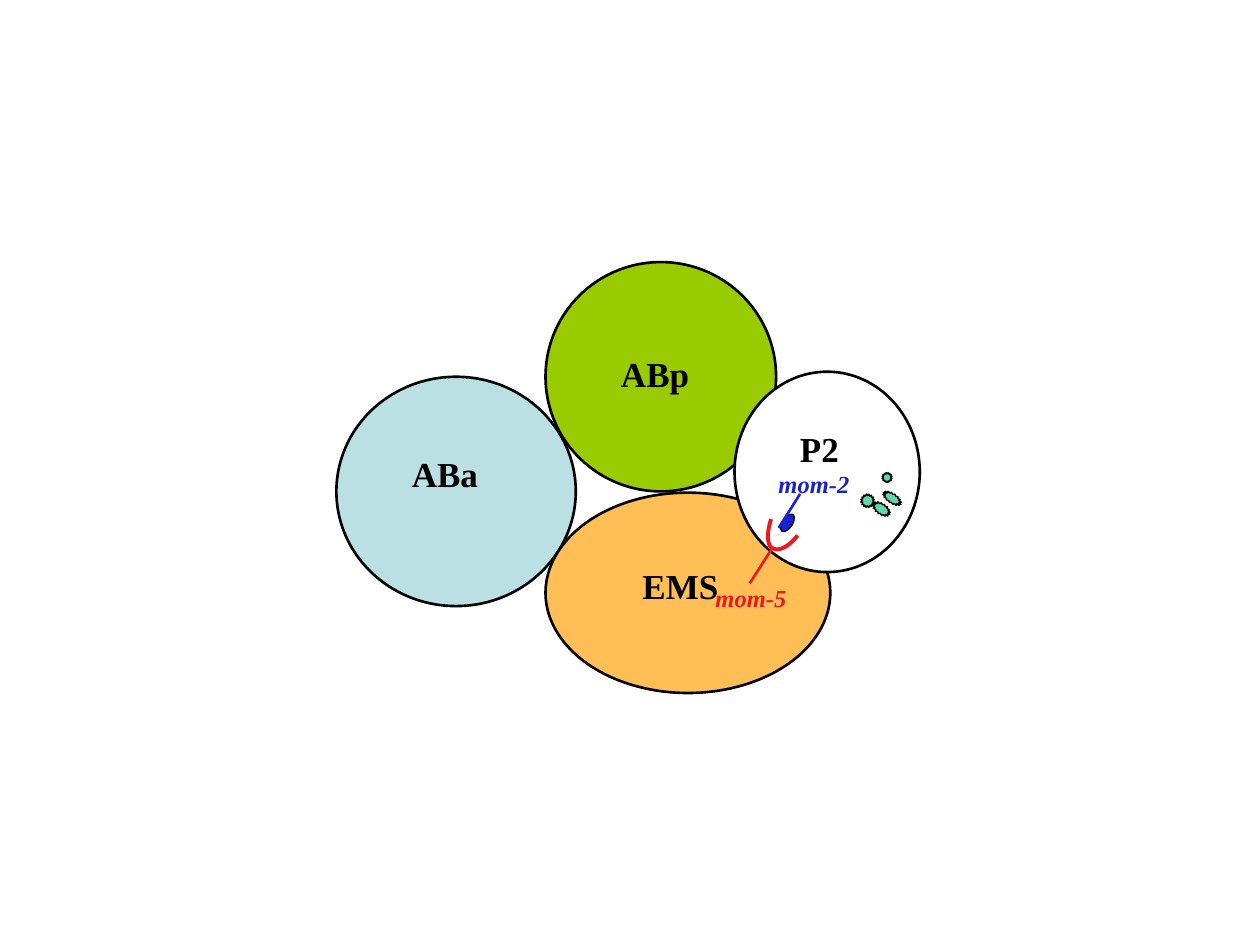
"""Draw a four-cell embryo with the mom-2 signal and its mom-5 receptor."""
from math import cos, pi, sin

from lxml import etree
from pptx import Presentation
from pptx import util as u
from pptx.dml.color import RGBColor
from pptx.enum import shapes, text
from pptx.oxml import ns

FONT = "Times New Roman"
BLACK, RED, BLUE, MINT = "000000", "ED181E", "1822CD", "62D6AC"
CELLS = [
    ((2.67, 2.99, 1.9, 1.82), "BBE0E3"),
    ((4.33, 2.08, 1.83, 1.82), "99CC00"),
    ((4.33, 3.91, 2.26, 1.59), "FFBF56"),
    ((5.83, 2.95, 1.47, 1.59), "FFFFFF"),
]
NAMES = [
    ("ABa", (3.17, 3.54, 0.74, 0.44)),
    ("ABp", (4.83, 2.75, 0.75, 0.44)),
    ("EMS", (5, 4.43, 0.81, 0.44)),
    ("P2", (6.25, 3.34, 0.52, 0.44)),
]
GRAINS = [
    (7, 3.75, 0.08, 0.08),
    (6.83, 3.92, 0.11, 0.11),
    (6.95, 3.96, 0.09, 0.16),
    (7.04, 3.87, 0.08, 0.17),
]
TILT, SPIKES, DEPTH = 124.2, 16, 0.75
CUP = [
    ((6.33, 4.25), (6.26, 4.34), (6.18, 4.38), (6.13, 4.35)),
    ((6.13, 4.35), (6.08, 4.32), (6.09, 4.21), (6.12, 4.12)),
]
STEPS = 12


def tint(code):
    return RGBColor.from_string(code)


def style(shape, fill, line, width):
    shape.shadow.inherit = False
    if fill:
        shape.fill.solid()
        shape.fill.fore_color.rgb = tint(fill)
    else:
        shape.fill.background()
    shape.line.color.rgb = tint(line)
    shape.line.width = u.Pt(width)


def oval(slide, box, fill, width, turn=0):
    shape = slide.shapes.add_shape(shapes.MSO_SHAPE.OVAL, *map(u.Inches, box))
    shape.rotation = turn
    style(shape, fill, BLACK, width)


def label(slide, words, box, size=20, color=BLACK, italic=None):
    frame = slide.shapes.add_textbox(*map(u.Inches, box)).text_frame
    frame.word_wrap = False
    frame.auto_size = text.MSO_AUTO_SIZE.SHAPE_TO_FIT_TEXT
    run = frame.paragraphs[0].add_run()
    run.text = words
    font = run.font
    font.name, font.size, font.bold, font.italic = FONT, u.Pt(size), True, italic
    font.color.rgb = tint(color)


def stroke(slide, start, end, color):
    line = slide.shapes.add_connector(
        shapes.MSO_CONNECTOR.STRAIGHT, *map(u.Inches, start + end))
    line.line.color.rgb = tint(color)
    line.line.width = u.Pt(1.5)
    etree.SubElement(line._element.spPr, ns.qn("a:effectLst"))


def trace(slide, points, close):
    dots = [(u.Inches(x), u.Inches(y)) for x, y in points]
    pen = slide.shapes.build_freeform(*dots[0])
    pen.add_line_segments(dots[1:], close=close)
    return pen.convert_to_shape()


def grain(slide, box):
    left, top, wide, high = box
    points = []
    for step in range(2 * SPIKES):
        reach = DEPTH if step % 2 else 1
        turn = pi * step / SPIKES
        points.append((left + wide / 2 * (1 + reach * cos(turn)),
                       top + high / 2 * (1 + reach * sin(turn))))
    shape = trace(slide, points, True)
    shape.rotation = TILT
    style(shape, MINT, BLACK, 0.75)


def curve(knots, t):
    parts = ((1 - t) ** 3, 3 * t * (1 - t) ** 2, 3 * t * t * (1 - t), t ** 3)
    return tuple(sum(p * v for p, v in zip(parts, axis)) for axis in zip(*knots))


def main():
    deck = Presentation()
    deck.slide_width, deck.slide_height = u.Inches(10), u.Inches(7.5)
    slide = deck.slides.add_slide(deck.slide_layouts[6])
    for box, fill in CELLS:
        oval(slide, box, fill, 1.5)
    for name, box in NAMES:
        label(slide, name, box)
    for box in GRAINS:
        grain(slide, box)
    label(slide, "mom-5", (5.58, 4.58, 0.77, 0.34), 14, RED, True)
    points = [curve(knots, n / STEPS) for knots in CUP for n in range(STEPS + 1)]
    style(trace(slide, points, False), None, RED, 2.25)
    stroke(slide, (6.13, 4.35), (5.95, 4.63), RED)
    oval(slide, (6.17, 4.11, 0.16, 0.08), BLUE, 0.75, 122.8)
    stroke(slide, (6.18, 4.19), (6.35, 3.92), BLUE)
    label(slide, "mom-2", (6.08, 3.67, 0.77, 0.34), 14, BLUE, True)
    deck.save("out.pptx")


if __name__ == "__main__":
    main()
